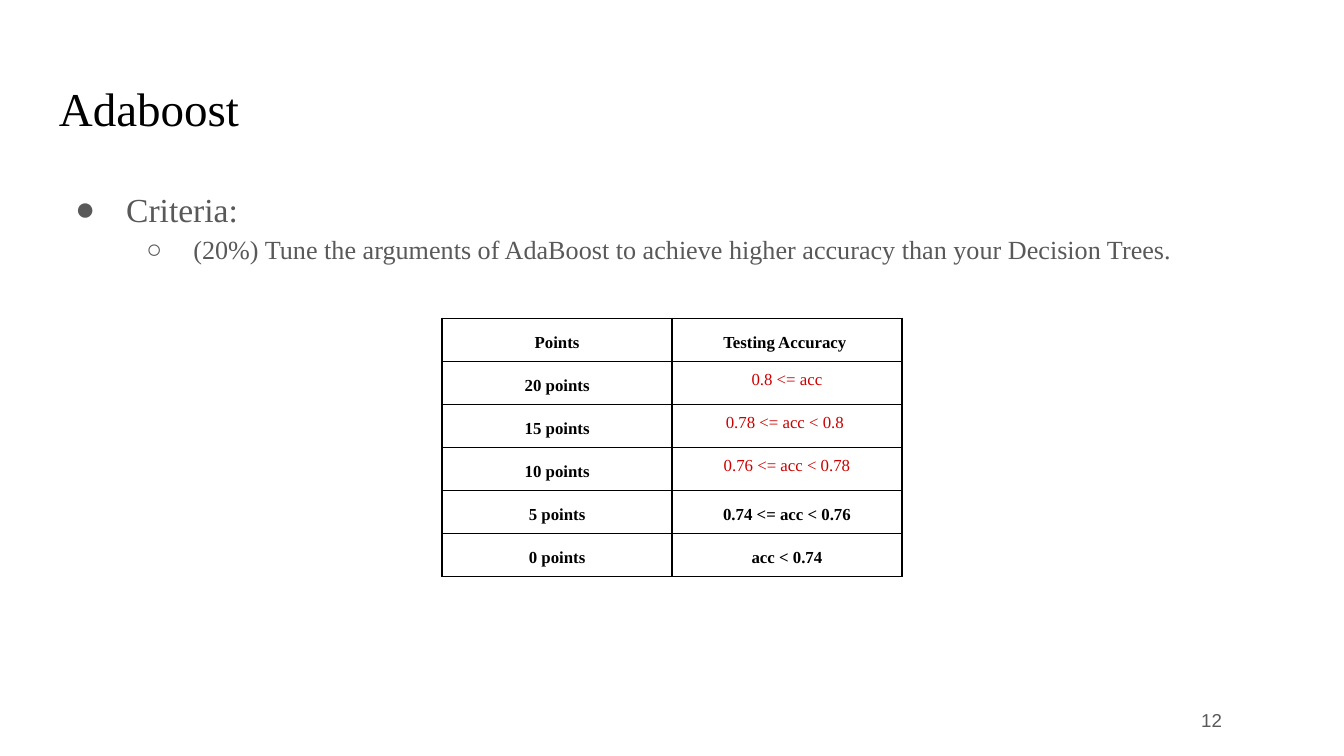
from lxml.etree import SubElement
from pptx import Presentation
from pptx.dml.color import RGBColor
from pptx.enum.text import MSO_ANCHOR, PP_ALIGN
from pptx.oxml.ns import qn
from pptx.util import Inches, Pt

BLACK = RGBColor(0x00, 0x00, 0x00)
GRAY = RGBColor(0x59, 0x59, 0x59)
RED = RGBColor(0xCC, 0x00, 0x00)
SERIF, SANS = "Times New Roman", "Arial"

BULLETS = [
    (0, "●", 0.5, -0.38, 18, "Criteria:"),
    (1, "○", 1, -0.35, 14,
     "(20%) Tune the arguments of AdaBoost to achieve higher accuracy than your Decision Trees."),
]
ROWS = [
    ("Points", "Testing Accuracy "),
    ("20 points", "0.8 <= acc"),
    ("15 points", "0.78 <= acc < 0.8 "),
    ("10 points", "0.76 <= acc < 0.78"),
    ("5 points", "0.74 <= acc < 0.76"),
    ("0 points", "acc < 0.74"),
]
RED_ROWS = (1, 2, 3)
CELL_MARGINS = {"left": 0.07, "top": 0.07, "right": 0.07, "bottom": 0.05}


class SlideBuilder:
    """Holds the text style and the current slide, and adds elements to it."""

    def __init__(self, s):
        self.s = s
        self.style = {"name": SERIF, "size": 14, "bold": False, "color": GRAY}

    def run(self, p, text, **changes):
        r = p.add_run()
        r.text = text
        fmt = {**self.style, **changes}
        r.font.color.rgb = fmt.pop("color")
        fmt["size"] = Pt(fmt["size"])
        for key, value in fmt.items():
            setattr(r.font, key, value)

    def box(self, x, y, w, h, anchor=MSO_ANCHOR.TOP):
        sp = self.s.shapes.add_textbox(Inches(x), Inches(y), Inches(w), Inches(h))
        tf = sp.text_frame
        fmt = {"word_wrap": True, "vertical_anchor": anchor}
        fmt.update({f"margin_{side}": Inches(0.1) for side in CELL_MARGINS})
        for key, value in fmt.items():
            setattr(tf, key, value)
        return tf

    def text(self, x, y, w, h, text, align=PP_ALIGN.LEFT, anchor=MSO_ANCHOR.TOP, **changes):
        p = self.box(x, y, w, h, anchor).paragraphs[0]
        p.alignment = align
        self.run(p, text, **changes)

    def bullets(self, x, y, w, h, items):
        tf = self.box(x, y, w, h)
        for i, (level, mark, left, indent, size, text) in enumerate(items):
            p = tf.add_paragraph() if i else tf.paragraphs[0]
            p.level, p.line_spacing = level, 1.15
            pPr = p._p.get_or_add_pPr()
            pPr.set("marL", str(Inches(left)))
            pPr.set("indent", str(Inches(indent)))
            color = SubElement(pPr, qn("a:buClr"))
            SubElement(color, qn("a:srgbClr"), val=str(GRAY))
            SubElement(pPr, qn("a:buFont"), typeface=SERIF)
            SubElement(pPr, qn("a:buChar"), char=mark)
            self.run(p, text, size=size)

    def border(self, cell):
        tcPr = cell._tc.get_or_add_tcPr()
        for i, side in enumerate("LRTB"):
            ln = SubElement(tcPr, qn(f"a:ln{side}"), w=str(Pt(1)))
            fill = SubElement(ln, qn("a:solidFill"))
            SubElement(fill, qn("a:srgbClr"), val=str(BLACK))
            tcPr.insert(i, ln)

    def cell(self, cell, text, red):
        cell.fill.background()
        for side, margin in CELL_MARGINS.items():
            setattr(cell, f"margin_{side}", Inches(margin))
        self.border(cell)
        p = cell.text_frame.paragraphs[0]
        p.alignment = PP_ALIGN.CENTER
        p.line_spacing = 1.0 if red else 1.3
        self.run(p, text, size=9, bold=not red, color=RED if red else BLACK)

    def table(self, x, y, col_w, row_h, rows, red_rows):
        n_rows, n_cols = len(rows), len(rows[0])
        table = self.s.shapes.add_table(n_rows, n_cols, Inches(x), Inches(y),
                                        Inches(col_w * n_cols), Inches(row_h * n_rows)).table
        table.first_row = table.horz_banding = False
        for i, row in enumerate(rows):
            table.rows[i].height = Inches(row_h)
            for j, text in enumerate(row):
                self.cell(table.cell(i, j), text, j == 1 and i in red_rows)


def main():
    prs = Presentation()
    prs.slide_width, prs.slide_height = Inches(10), Inches(10 * 9 / 16)
    b = SlideBuilder(prs.slides.add_slide(prs.slide_layouts[6]))
    b.text(0.34, 0.49, 9.32, 0.63, "Adaboost", size=25.2, color=BLACK)
    b.bullets(0.34, 1.26, 9.32, 3.95, BULLETS)
    b.text(8.59, 5.14, 0.6, 0.43, "12", PP_ALIGN.RIGHT, MSO_ANCHOR.MIDDLE, name=SANS, size=10)
    b.table(3.29, 2.37, 1.71, 0.32, ROWS, RED_ROWS)
    prs.save("out.pptx")


if __name__ == "__main__":
    main()
